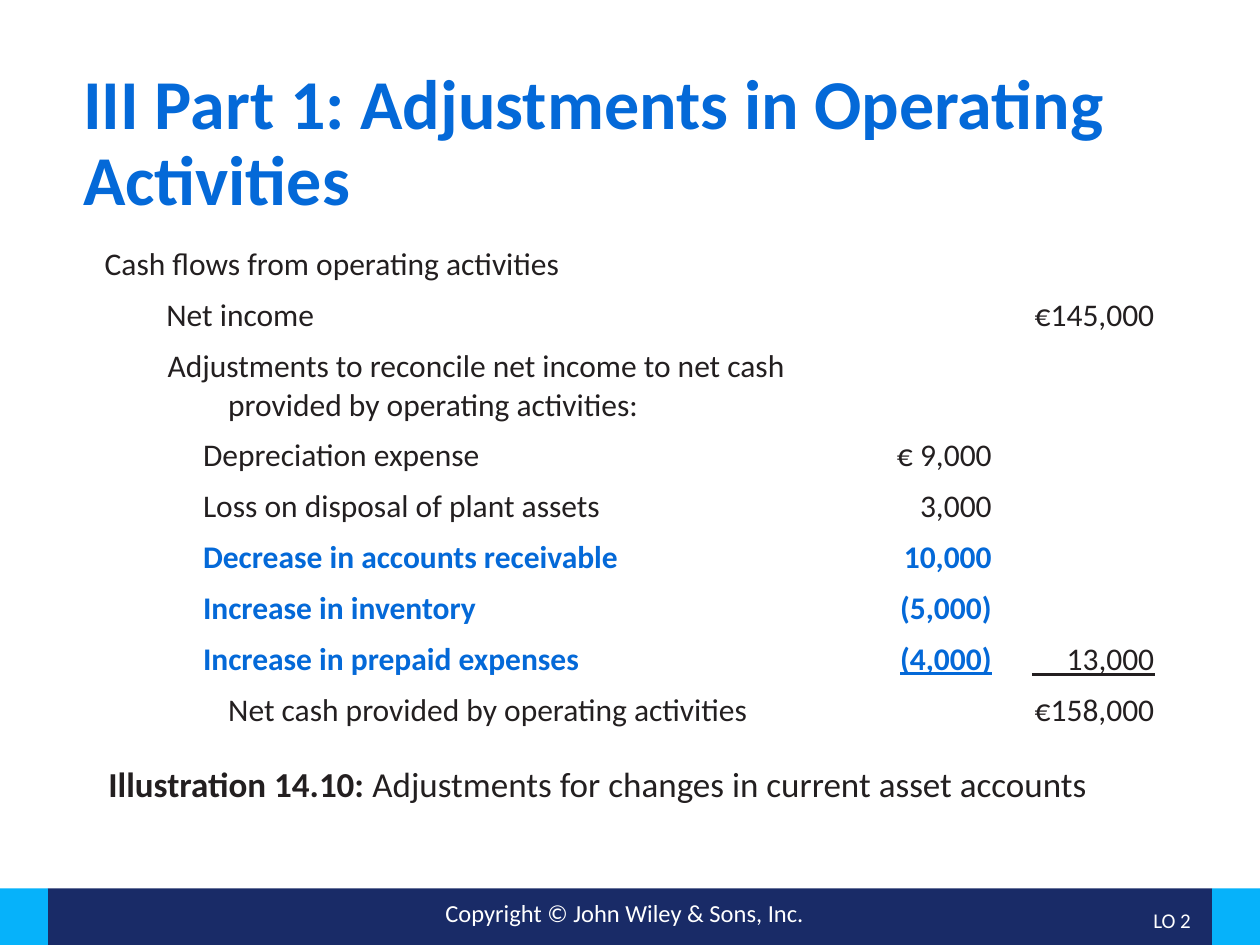
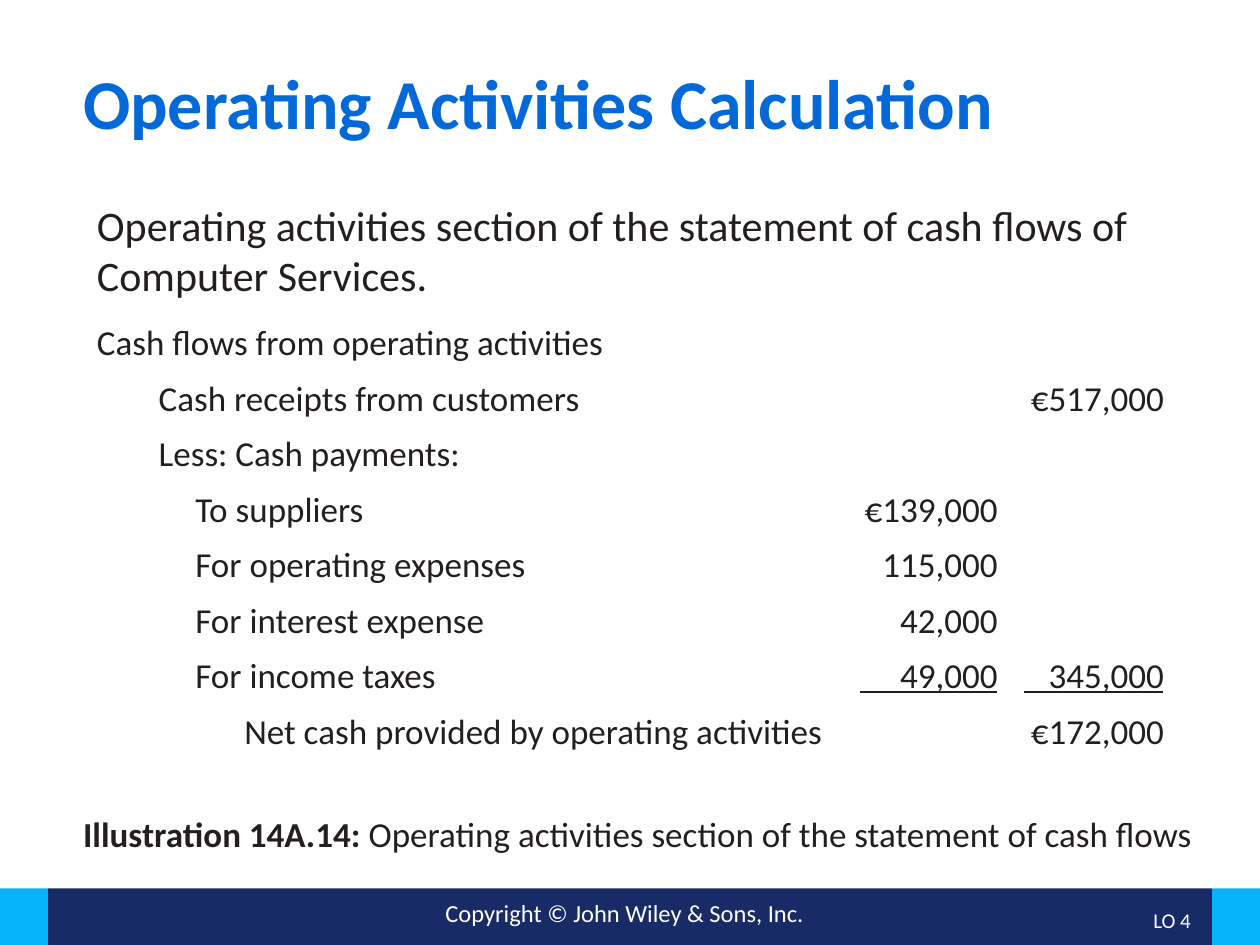
from dataclasses import dataclass

from lxml import etree
from pptx import Presentation
from pptx.dml.color import RGBColor
from pptx.enum import shapes, text
from pptx.oxml import ns
from pptx.util import Pt


@dataclass(frozen=True)
class Theme:
    """Colours, font and type sizes of the deck."""
    font: str = "Calibri"
    ink: str = "231F20"
    blue: str = "0469D8"
    navy: str = "192B67"
    sky: str = "06B2FA"
    white: str = "FFFFFF"
    head: int = 40
    lead: int = 24
    note: int = 20
    foot: int = 14
    tag: int = 12


THEME = Theme()
LEFT, RIGHT = text.PP_ALIGN.LEFT, text.PP_ALIGN.RIGHT
MID = text.PP_ALIGN.CENTER


def place(shape, box):
    """Move a shape to a box given in points."""
    shape.left, shape.top, shape.width, shape.height = map(Pt, box)


def style(para, size, hue=THEME.ink, bold=False, align=LEFT, line=1.0):
    """Set the font and spacing of a paragraph."""
    para.alignment, para.line_spacing = align, line
    para.space_before = Pt(0)
    font = para.font
    font.name, font.size, font.bold = THEME.font, Pt(size), bold
    font.color.rgb = RGBColor.from_string(hue)


def indent(para, left, first=0):
    """Set the left margin and first-line indent in points."""
    props = para._p.get_or_add_pPr()
    props.set("marL", str(Pt(left)))
    props.set("indent", str(Pt(first)))
    return props


def fill(holder, box, words, size, hue=THEME.ink, bold=False, line=1.0):
    """Put words, plain or as (words, bold) runs, in a placeholder."""
    place(holder, box)
    frame = holder.text_frame
    frame.word_wrap = True
    frame.auto_size = text.MSO_AUTO_SIZE.NONE
    frame.vertical_anchor = text.MSO_ANCHOR.TOP
    para = frame.paragraphs[0]
    etree.SubElement(indent(para, 0), ns.qn("a:buNone"))
    style(para, size, hue, bold, line=line)
    if isinstance(words, str):
        para.text = words
        return
    for part, heavy in words:
        run = para.add_run()
        run.text, run.font.bold = part, heavy


def label(slide, box, words, size, align, anchor=text.MSO_ANCHOR.TOP):
    """Add a white text box."""
    shape = slide.shapes.add_textbox(*map(Pt, box))
    frame = shape.text_frame
    frame.word_wrap, frame.vertical_anchor = True, anchor
    frame.text = words
    style(frame.paragraphs[0], size, THEME.white, align=align)
    return shape


def band(slide, left, width, hue):
    """Add one block of the footer band."""
    shape = slide.shapes.add_shape(
        shapes.MSO_SHAPE.RECTANGLE, Pt(left), Pt(507.6), Pt(width), Pt(32.4))
    shape.shadow.inherit = False
    shape.fill.solid()
    shape.fill.fore_color.rgb = RGBColor.from_string(hue)
    shape.line.fill.background()
    return shape


def footer(deck, slide):
    """Build the footer and move it to the master."""
    side = 27.4
    parts = [band(slide, side, 720 - 2 * side, THEME.navy),
             band(slide, 0, side, THEME.sky),
             band(slide, 720 - side, side, THEME.sky),
             label(slide, (180, 509.8, 354, 24.5),
                   "Copyright © John Wiley & Sons, Inc.", THEME.foot, MID)]
    for part in parts:
        deck.slide_master.shapes.element.append(part.element)


def start(deck, layout, title, goal):
    """Add a slide with its title and goal tag."""
    slide = deck.slides.add_slide(deck.slide_layouts[layout])
    fill(slide.shapes.title, (40.3, 36, 639.4, 67), title,
         THEME.head, THEME.blue, True, 0.9)
    label(slide, (628.6, 511.2, 59, 28.8), goal, THEME.tag, RIGHT,
          text.MSO_ANCHOR.MIDDLE)
    return slide


def ledger(slide, spot, cols, pitch, size, rows, strong=(), under=()):
    """Add a cash flow table from (indent, label, detail, total) rows."""
    grid = slide.shapes.add_table(
        len(rows), len(cols), *map(Pt, (*spot, sum(cols), pitch * len(rows)))).table
    grid.first_row = grid.horz_banding = False
    for col, width in zip(grid.columns, cols):
        col.width = Pt(width)
    for i, (inset, *words) in enumerate(rows):
        grid.rows[i].height = Pt(pitch)
        for j, word in enumerate(words):
            cell = grid.cell(i, j)
            cell.fill.background()
            cell.text = word
            para = cell.text_frame.paragraphs[0]
            bold = i in strong and j < 2
            if j == 0:
                indent(para, *inset)
            style(para, size, THEME.blue if bold else THEME.ink, bold,
                  RIGHT if j else LEFT)
            if (i, j) in under:
                para.font.underline = True


def rule(slide, left, right, top):
    """Draw a sum line below a figure."""
    line = slide.shapes.add_connector(
        shapes.MSO_CONNECTOR.STRAIGHT, Pt(left), Pt(top), Pt(right), Pt(top))
    line.line.color.rgb = RGBColor.from_string(THEME.ink)
    line.line.width = Pt(1.5)
    etree.SubElement(line.element.spPr, ns.qn("a:effectLst"))


def adjust(deck):
    """Build the slide on adjustments."""
    slide = start(deck, 1, "III Part 1: Adjustments in Operating Activities", "LO 2")
    item = (56.2,)
    rows = [
        ((0,), "Cash flows from operating activities", "", ""),
        ((35.3,), "Net income", "", "€145,000"),
        ((70.6, -34.6), "Adjustments to reconcile net income to net cash "
         "provided by operating activities:", "", ""),
        (item, "Depreciation expense", "€ 9,000", ""),
        (item, "Loss on disposal of plant assets", "3,000", ""),
        (item, "Decrease in accounts receivable", "10,000", ""),
        (item, "Increase in inventory", "(5,000)", ""),
        (item, "Increase in prepaid expenses", "(4,000)", "13,000"),
        ((70.6,), "Net cash provided by operating activities", "", "€158,000"),
    ]
    ledger(slide, (52.6, 136.8), (428.4, 92.9, 92.9), 29.2, 18, rows,
           strong=(5, 6, 7), under=((7, 1),))
    rule(slide, 589.7, 660, 385.4)
    fill(slide.placeholders[1], (54.7, 432, 632.9, 34.6),
         [("Illustration 14.10: ", True),
          ("Adjustments for changes in current asset accounts", False)], THEME.note)
    return slide


def tally(deck):
    """Build the slide on the direct calculation."""
    slide = start(deck, 3, "Operating Activities Calculation", "LO 4")
    fill(slide.placeholders[1], (48.2, 110.2, 639.4, 123.8),
         "Operating activities section of the statement of cash flows of "
         "Computer Services.", THEME.lead)
    item = (56.2,)
    rows = [
        ((0,), "Cash flows from operating activities", "", ""),
        ((35.3,), "Cash receipts from customers", "", "€517,000"),
        ((35.3,), "Less: Cash payments:", "", ""),
        (item, "To suppliers", "€139,000", ""),
        (item, "For operating expenses", "115,000", ""),
        (item, "For interest expense", "42,000", ""),
        (item, "For income taxes", "49,000", "345,000"),
        ((84.2,), "Net cash provided by operating activities", "", "€172,000"),
    ]
    ledger(slide, (48.2, 180.7), (434.2, 95, 95), 31.7, 20, rows)
    for left, right in ((491.4, 569.8), (585.2, 664.8)):
        rule(slide, left, right, 395.4)
    fill(slide.placeholders[2], (40.3, 465.1, 662.4, 28.8),
         [("Illustration 14A.14: ", True),
          ("Operating activities section of the statement of cash flows", False)],
         THEME.note, line=0.8)


def main():
    """Build and save the deck."""
    deck = Presentation()
    deck.slide_width, deck.slide_height = Pt(720), Pt(540)
    footer(deck, adjust(deck))
    tally(deck)
    deck.save("out.pptx")


if __name__ == "__main__":
    main()
